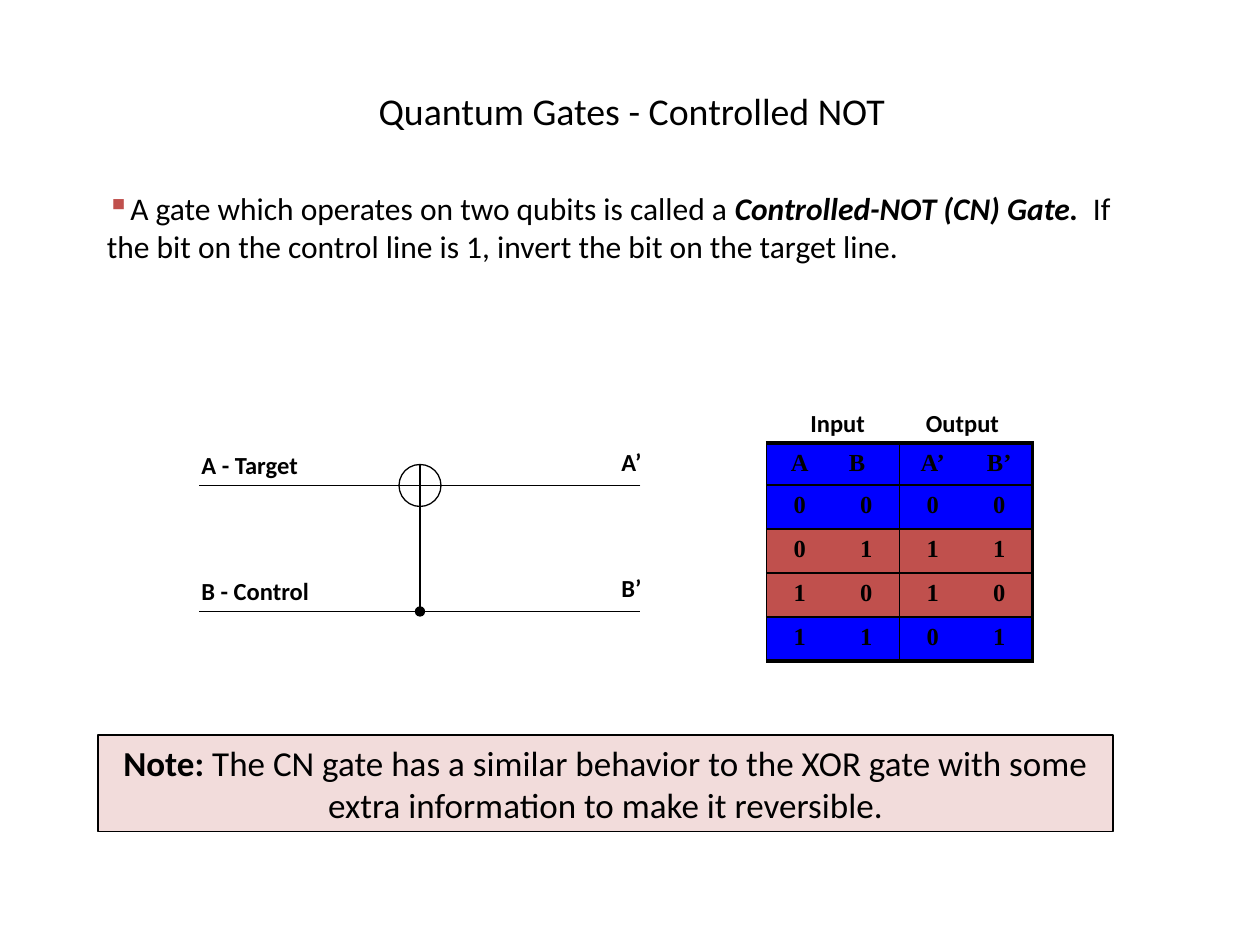
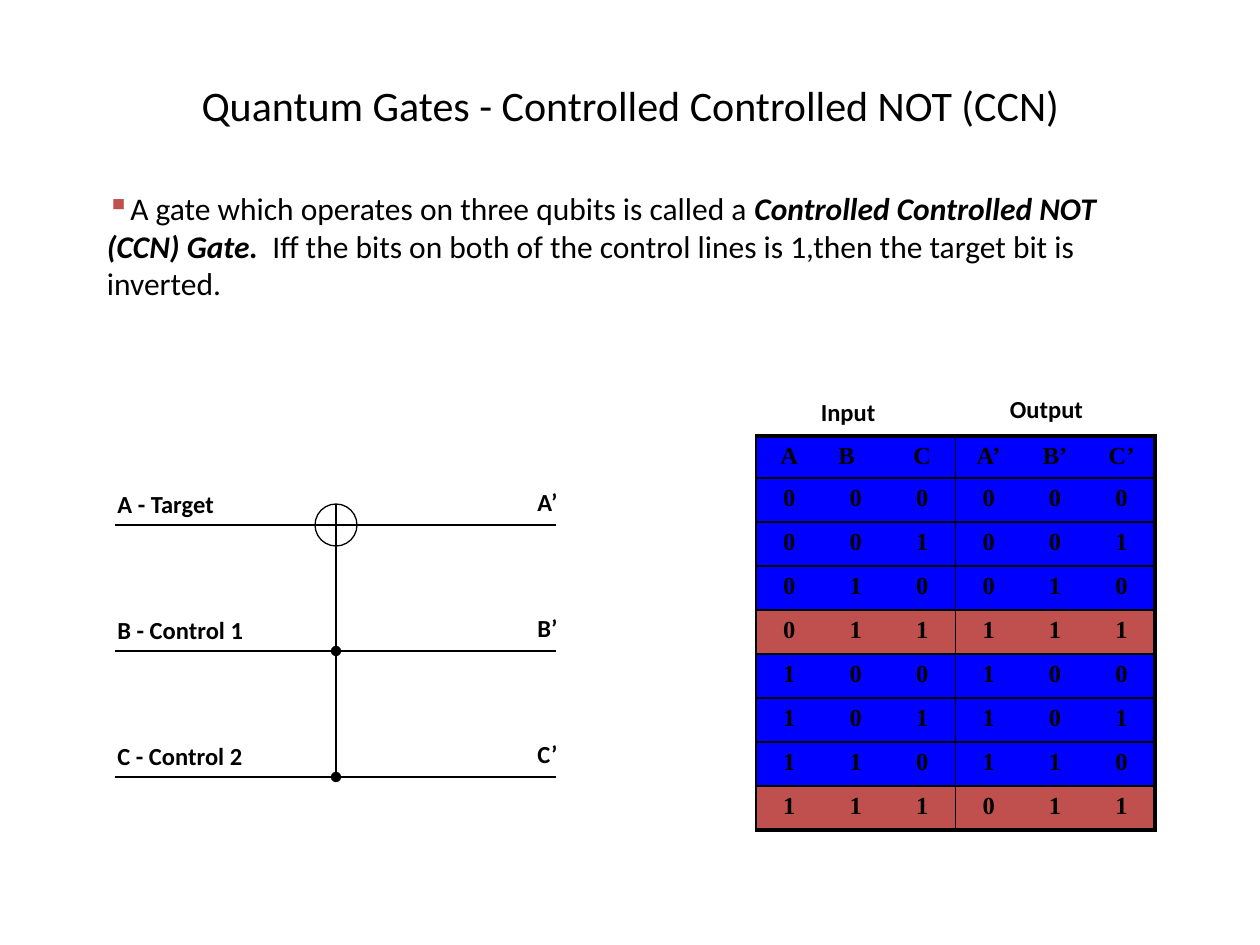
"""Build two slides on controlled quantum gates with their circuits and truth tables."""
import pptx
import pptx.dml.color
import pptx.enum.shapes
import pptx.enum.text
import pptx.oxml.ns
import pptx.util
from lxml import etree

Pt = pptx.util.Pt
RGBColor = pptx.dml.color.RGBColor
SHAPE = pptx.enum.shapes.MSO_SHAPE
ALIGN = pptx.enum.text.PP_ALIGN
ANCHOR = pptx.enum.text.MSO_ANCHOR
qn = pptx.oxml.ns.qn

SLIDES = [
    {
        "title": ("Quantum Gates - Controlled NOT", 21.6, (42, 48, 648, 30), 17),
        "body": [
            ("A gate which operates on two qubits is called a ", ""),
            ("Controlled-NOT (CN) Gate.  ", "bi"),
            ("If the bit on the control line is 1, invert the bit on the target line.", ""),
        ],
        "circuit": (114, 277.4),
        "wires": [("A - Target", "A’"), ("B - Control", "B’")],
        "headings": [("Input", 456, 229.7), ("Output", 522, 229.7)],
        "table": (438, 253.2),
        "columns": ["A", "B", "A’", "B’"],
        "rows": ["0000", "0111", "1010", "1101"],
        "marked": {"0111", "1010"},
        "note": [
            ("Note:", "b"),
            (" The CN gate has a similar behavior to the XOR gate with some"
             " extra information to make it reversible.", ""),
        ],
    },
    {
        "title": ("Quantum Gates - Controlled Controlled NOT (CCN)", 24, (24, 42, 678, 36), 12.6),
        "body": [
            ("A gate which operates on three qubits is called a ", ""),
            ("Controlled Controlled NOT (CCN) Gate.  ", "bi"),
            ("Iff the bits on both of the control lines is 1,then the target bit is inverted.", ""),
        ],
        "circuit": (66, 300),
        "wires": [("A - Target", "A’"), ("B - Control 1", "B’"), ("C - Control 2", "C’")],
        "headings": [("Input", 462, 223.2), ("Output", 570, 221.8)],
        "table": (432, 249.2),
        "columns": ["A", "B", "C", "A’", "B’", "C’"],
        "rows": ["000000", "001001", "010010", "011111", "100100", "101101", "110110", "111011"],
        "marked": {"011111", "111011"},
        "note": [],
    },
]

BLACK = RGBColor(0x00, 0x00, 0x00)
BLUE = RGBColor(0x00, 0x00, 0xFF)
RED = RGBColor(0xC0, 0x50, 0x4D)
PINK = RGBColor(0xF2, 0xDC, 0xDB)
BODY_BOX = (54, 104.4, 596, 93.6)
NOTE_BOX = (56, 420, 580, 55.4)
WIRE_LENGTH, WIRE_GAP, GATE_SIZE = 252, 72, 24
COL_WIDTH, HEADER_HEIGHT, ROW_HEIGHT = 38, 24, 25.15
THIN, THICK = 1, 2.25
B_HEADER_INSET = 17.7


def add_runs(p, runs, size, font="Calibri"):
    for text, style in runs:
        r = p.add_run()
        r.text = text
        r.font.name, r.font.size = font, Pt(size)
        r.font.color.rgb = BLACK
        r.font.bold, r.font.italic = "b" in style, "i" in style


def add_text(s, box, runs, size, align=ALIGN.LEFT, anchor=ANCHOR.TOP):
    tf = s.shapes.add_textbox(*map(Pt, box)).text_frame
    tf.word_wrap = True
    tf.vertical_anchor = anchor
    tf.paragraphs[0].alignment = align
    add_runs(tf.paragraphs[0], runs, size)
    return tf


def add_label(s, text, left, top, width):
    add_text(s, (left, top, width, 24), [(text, "b")], 14)


def add_bullet(p):
    ppr = p._p.get_or_add_pPr()
    ppr.set("marL", "0")
    ppr.set("indent", "0")
    color = etree.SubElement(ppr, qn("a:buClr"))
    etree.SubElement(color, qn("a:srgbClr"), val=str(RED))
    etree.SubElement(ppr, qn("a:buChar"), char="▪")


def add_line(s, x1, y1, x2, y2, dot=False):
    line = s.shapes.add_connector(pptx.enum.shapes.MSO_CONNECTOR.STRAIGHT, *map(Pt, (x1, y1, x2, y2)))
    line.line.color.rgb = BLACK
    line.line.width = Pt(0.75)
    if dot:
        etree.SubElement(line.line._get_or_add_ln(), qn("a:tailEnd"), type="oval")
    etree.SubElement(line._element.spPr, qn("a:effectLst"))


def add_outlined(s, kind, box):
    sp = s.shapes.add_shape(kind, *map(Pt, box))
    sp.shadow.inherit = False
    sp.line.color.rgb = BLACK
    sp.line.width = Pt(0.75)
    return sp


def add_circuit(s, left, top, wires):
    right, radius = left + WIRE_LENGTH, GATE_SIZE / 2
    center = left + WIRE_LENGTH / 2
    gate = add_outlined(s, SHAPE.FLOWCHART_OR, (center - radius, top - radius, GATE_SIZE, GATE_SIZE))
    gate.fill.background()
    add_line(s, center - radius, top, left, top)
    add_line(s, right, top, center + radius, top)
    start = top + radius
    for i, (name, result) in enumerate(wires):
        y = top + i * WIRE_GAP
        if i:
            add_line(s, left, y, right, y)
            add_line(s, center, start, center, y, dot=True)
            start = y
        add_label(s, name, left - 6, y - 24, 96)
        add_label(s, result, right - 18, y - 25.5, 37.4)


def set_borders(cell, widths):
    tcpr = cell._tc.get_or_add_tcPr()
    for i, (tag, width) in enumerate(zip(("a:lnL", "a:lnR", "a:lnT", "a:lnB"), widths)):
        ln = etree.Element(qn(tag), w=str(Pt(width)))
        if width:
            fill = etree.SubElement(ln, qn("a:solidFill"))
            etree.SubElement(fill, qn("a:srgbClr"), val=str(BLACK))
        else:
            etree.SubElement(ln, qn("a:noFill"))
        tcpr.insert(i, ln)


def add_truth_table(s, left, top, columns, rows, marked):
    n_rows, n_cols = len(rows) + 1, len(columns)
    height = HEADER_HEIGHT + len(rows) * ROW_HEIGHT
    box = map(Pt, (left, top, n_cols * COL_WIDTH, height))
    table = s.shapes.add_table(n_rows, n_cols, *box).table
    for column in table.columns:
        column.width = Pt(COL_WIDTH)
    vertical = {0: THIN, n_cols // 2: THIN, n_cols: THICK}
    horizontal = {0: THICK, n_rows: THICK}
    for i, values in enumerate([columns, *rows]):
        table.rows[i].height = Pt(ROW_HEIGHT if i else HEADER_HEIGHT)
        for j, value in enumerate(values):
            cell = table.cell(i, j)
            cell.fill.solid()
            cell.fill.fore_color.rgb = RED if i and values in marked else BLUE
            if value == "B":
                cell.margin_right = Pt(B_HEADER_INSET)
            p = cell.text_frame.paragraphs[0]
            p.alignment = ALIGN.CENTER
            add_runs(p, [(value, "b")], 14, "Times New Roman")
            set_borders(cell, (vertical.get(j, 0), vertical.get(j + 1, 0),
                               horizontal.get(i, THIN), horizontal.get(i + 1, THIN)))


def add_note(s, runs):
    sp = add_outlined(s, SHAPE.RECTANGLE, NOTE_BOX)
    sp.fill.solid()
    sp.fill.fore_color.rgb = PINK
    tf = sp.text_frame
    tf.word_wrap = True
    tf.vertical_anchor = ANCHOR.TOP
    tf.paragraphs[0].alignment = ALIGN.CENTER
    add_runs(tf.paragraphs[0], runs, 20)


def build_slide(prs, content):
    s = prs.slides.add_slide(prs.slide_layouts[6])
    title, size, box, right_inset = content["title"]
    add_text(s, box, [(title, "")], size, ALIGN.CENTER, ANCHOR.MIDDLE).margin_right = Pt(right_inset)
    add_bullet(add_text(s, BODY_BOX, content["body"], 18).paragraphs[0])
    add_circuit(s, *content["circuit"], content["wires"])
    add_truth_table(s, *content["table"], content["columns"], content["rows"], content["marked"])
    for text, left, top in content["headings"]:
        add_label(s, text, left, top, 66)
    if content["note"]:
        add_note(s, content["note"])


def main():
    prs = pptx.Presentation()
    prs.slide_width, prs.slide_height = Pt(720), Pt(540)
    for content in SLIDES:
        build_slide(prs, content)
    prs.save("out.pptx")


if __name__ == "__main__":
    main()
